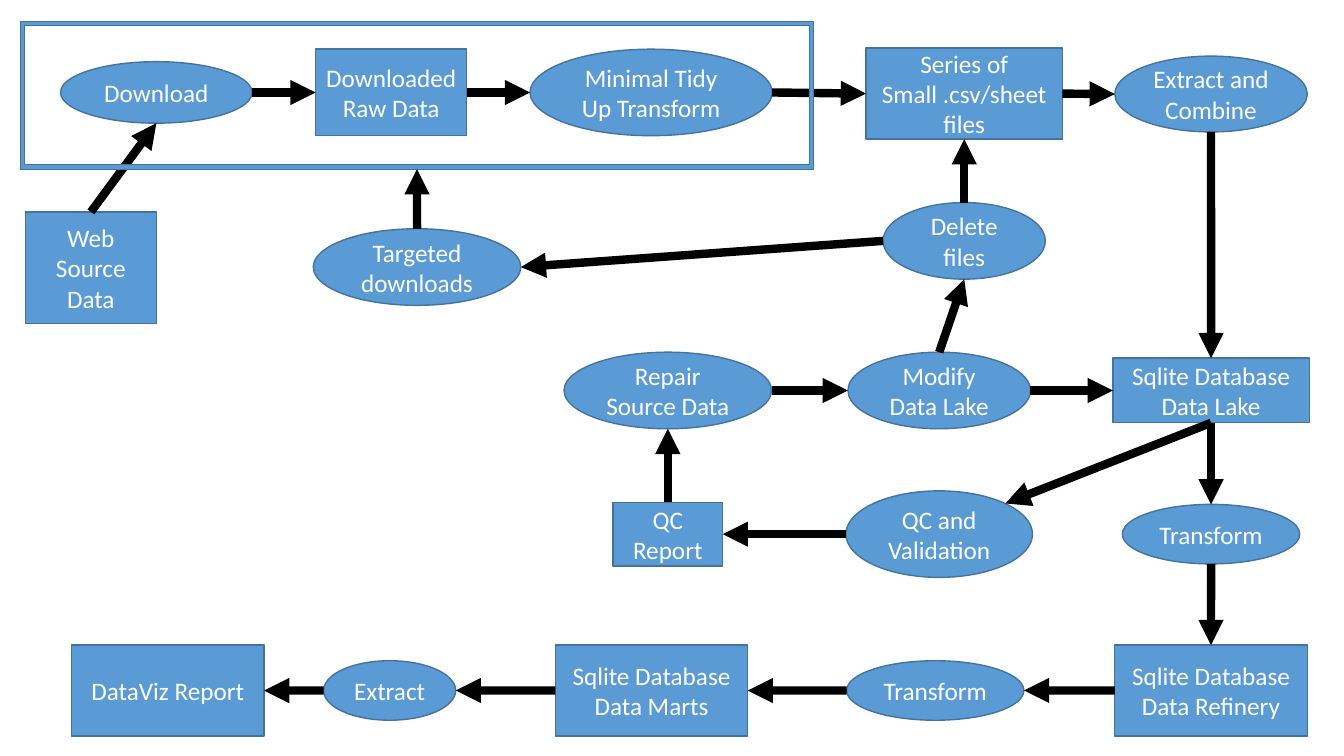
import pptx
import pptx.dml.color
import pptx.enum.shapes
import pptx.enum.text
import pptx.oxml.ns
import pptx.util
from lxml import etree

Cm = pptx.util.Cm
Pt = pptx.util.Pt
RGBColor = pptx.dml.color.RGBColor
Shapes = pptx.enum.shapes.MSO_SHAPE

BLUE = RGBColor(0x5B, 0x9B, 0xD5)
DARK_BLUE = RGBColor(0x43, 0x73, 0x9E)
BLACK = RGBColor(0, 0, 0)
WHITE = RGBColor(0xFF, 0xFF, 0xFF)

# Fractions of half the width and height, measured from the centre of a shape
SIDES = {"top": (0, -1), "bottom": (0, 1), "left": (-1, 0), "right": (1, 0),
         "top right": (0.71, -0.71)}

# Centre lines shared by several steps, in cm
TOP_ROW, LAKE_ROW, CHECK_ROW, BOTTOM_ROW = 2.33, 9.84, 13.46, 17.4
RIGHT_COLUMN, FILES_COLUMN, REPAIR_COLUMN = 30.52, 24.3, 16.83

# Name: (text, centre x, centre y, width, height), in cm
DATA_STORES = {
    "web": ("Web Source Data", 2.29, 6.75, 3.3, 2.82),
    "raw": ("Downloaded Raw Data", 9.86, TOP_ROW, 3.81, 2.18),
    "files": ("Series of Small .csv/sheet files", FILES_COLUMN, 2.36, 4.95, 2.29),
    "lake": ("Sqlite Database\nData Lake", RIGHT_COLUMN, LAKE_ROW, 4.95, 1.63),
    "check report": ("QC Report", REPAIR_COLUMN, CHECK_ROW, 2.77, 1.6),
    "refinery": ("Sqlite Database\nData Refinery", RIGHT_COLUMN, BOTTOM_ROW, 4.85, 2.29),
    "marts": ("Sqlite Database\nData Marts", 16.42, BOTTOM_ROW, 4.85, 2.29),
    "final report": ("DataViz Report", 4.23, BOTTOM_ROW, 4.85, 2.29),
}
PROCESSES = {
    "download": ("Download", 3.94, TOP_ROW, 4.83, 1.55),
    "tidy": ("Minimal Tidy Up Transform", 16.41, TOP_ROW, 6.1, 2.18),
    "combine": ("Extract and Combine", RIGHT_COLUMN, 2.37, 4.85, 1.91),
    "delete": ("Delete files", FILES_COLUMN, 6.07, 4.09, 1.93),
    "targeted": ("Targeted downloads", 10.51, 6.73, 5.23, 1.93),
    "repair": ("Repair Source Data", REPAIR_COLUMN, LAKE_ROW, 5.23, 1.93),
    "modify": ("Modify Data Lake", 23.67, LAKE_ROW, 4.6, 1.93),
    "validate": ("QC and Validation", 23.67, CHECK_ROW, 4.7, 2.18),
    "refine": ("Transform", RIGHT_COLUMN, CHECK_ROW, 4.47, 1.5),
    "transform": ("Transform", 23.57, BOTTOM_ROW, 4.47, 1.5),
    "extract": ("Extract", 9.82, BOTTOM_ROW, 3.33, 1.5),
}
DOWNLOAD_FRAME = (10.51, 2.4, 20, 3.73)

# (from, side, to, side)
ARROWS_BEHIND_FRAME = [
    ("web", "top", "download", "bottom"),
    ("download", "right", "raw", "left"),
    ("raw", "right", "tidy", "left"),
    ("tidy", "right", "files", "left"),
]
ARROWS = [
    ("files", "right", "combine", "left"),
    ("combine", "bottom", "lake", "top"),
    ("lake", "bottom", "refine", "top"),
    ("refine", "bottom", "refinery", "top"),
    ("refinery", "left", "transform", "right"),
    ("transform", "left", "marts", "right"),
    ("marts", "left", "extract", "right"),
    ("extract", "left", "final report", "right"),
    ("targeted", "top", "frame", "bottom"),
    ("lake", "bottom", "validate", "top right"),
    ("validate", "left", "check report", "right"),
    ("check report", "top", "repair", "bottom"),
    ("repair", "right", "modify", "left"),
    ("modify", "right", "lake", "left"),
    ("modify", "top", "delete", "bottom"),
    ("delete", "top", "files", "bottom"),
    ("delete", "left", "targeted", "right"),
]


def write_text(shape, text, size=18, font="Calibri", color=WHITE,
               align=pptx.enum.text.PP_ALIGN.CENTER,
               anchor=pptx.enum.text.MSO_ANCHOR.MIDDLE):
    """Write text into a shape, one paragraph per line."""
    frame = shape.text_frame
    frame.text = text
    frame.word_wrap = True
    frame.vertical_anchor = anchor
    for paragraph in frame.paragraphs:
        paragraph.alignment = align
        for run in paragraph.runs:
            run.font.size = Pt(size)
            run.font.name = font
            run.font.color.rgb = color


class FlowDiagram:
    """Draw the steps and arrows of a flow diagram on one slide."""

    fill, outline, arrow_color = BLUE, DARK_BLUE, BLACK
    outline_width, arrow_width = Pt(1), Pt(6)

    def __init__(self, slide):
        """Keep the slide to draw on and the shapes by name."""
        self.slide = slide
        self.steps = {}

    def add_block(self, name, kind, center_x, center_y, width, height):
        """Add a filled shape around its centre."""
        shape = self.slide.shapes.add_shape(
            kind, Cm(center_x - width / 2), Cm(center_y - height / 2),
            Cm(width), Cm(height))
        shape.shadow.inherit = False
        shape.fill.solid()
        shape.fill.fore_color.rgb = self.fill
        shape.line.color.rgb = self.outline
        shape.line.width = self.outline_width
        self.steps[name] = shape
        return shape

    def add_steps(self, kind, steps):
        """Add a labelled shape for each step."""
        for name, (text, *place) in steps.items():
            write_text(self.add_block(name, kind, *place), text)

    def add_frame(self, name, place, thickness):
        """Add a hollow frame with a hairline outline."""
        frame = self.add_block(name, Shapes.FRAME, *place)
        frame.adjustments[0] = thickness
        frame.line.width = 0

    def edge_point(self, name, side):
        """Return the point on one side of a step."""
        shape = self.steps[name]
        across, down = SIDES[side]
        return (int(shape.left + shape.width * (1 + across) / 2),
                int(shape.top + shape.height * (1 + down) / 2))

    def add_arrows(self, arrows):
        """Add an arrow for each pair of steps."""
        for start, start_side, end, end_side in arrows:
            arrow = self.slide.shapes.add_connector(
                pptx.enum.shapes.MSO_CONNECTOR.STRAIGHT,
                *self.edge_point(start, start_side),
                *self.edge_point(end, end_side))
            arrow.line.color.rgb = self.arrow_color
            arrow.line.width = self.arrow_width
            properties = arrow._element.spPr
            line = properties.find(pptx.oxml.ns.qn("a:ln"))
            etree.SubElement(line, pptx.oxml.ns.qn("a:tailEnd"), type="triangle")
            etree.SubElement(properties, pptx.oxml.ns.qn("a:effectLst"))


def main():
    """Build the data pipeline slide and save it."""
    presentation = pptx.Presentation()
    presentation.slide_width = Cm(33.87)
    presentation.slide_height = Cm(19.05)
    slide = presentation.slides.add_slide(presentation.slide_layouts[6])

    diagram = FlowDiagram(slide)
    diagram.add_steps(Shapes.RECTANGLE, DATA_STORES)
    diagram.add_steps(Shapes.OVAL, PROCESSES)
    diagram.add_arrows(ARROWS_BEHIND_FRAME)
    diagram.add_frame("frame", DOWNLOAD_FRAME, 0.03)
    diagram.add_arrows(ARROWS)

    presentation.save("out.pptx")


main()
